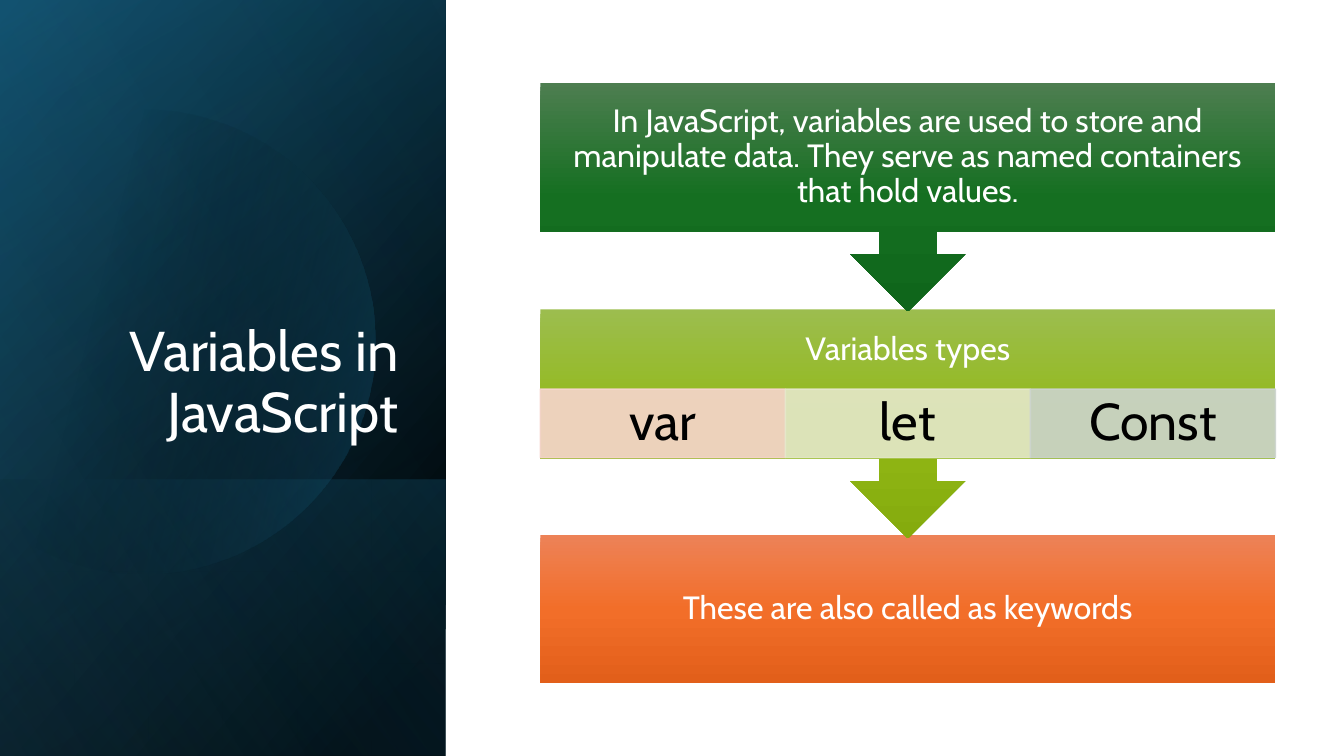
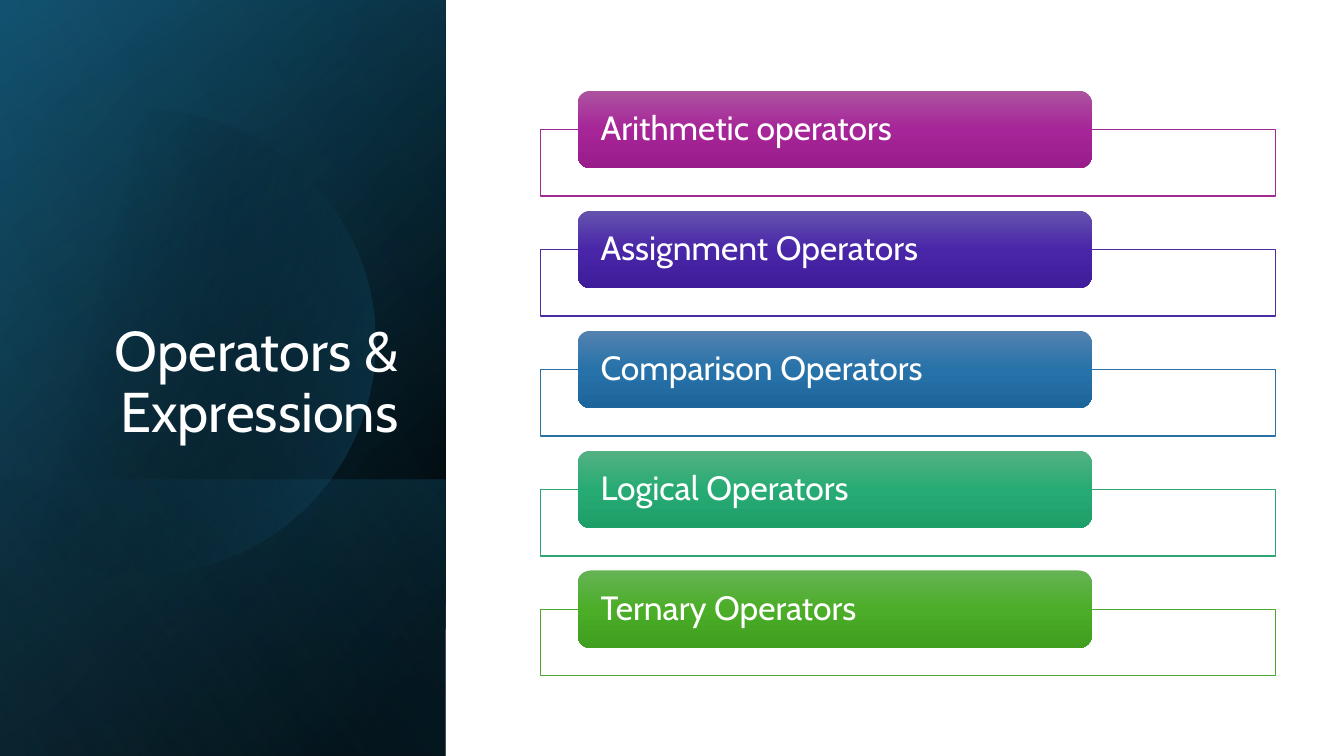
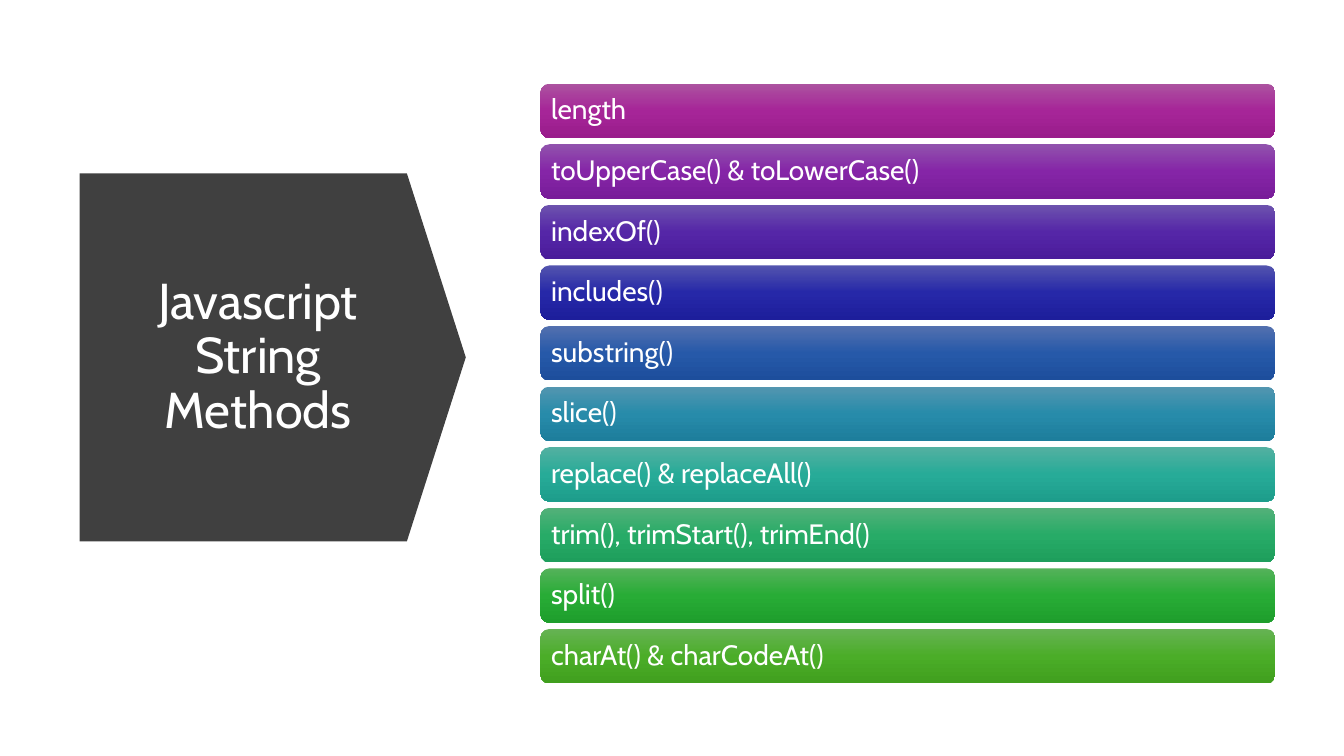
from math import acos, cos, sin

from lxml.etree import SubElement
from pptx import Presentation
from pptx.dml.color import RGBColor
from pptx.enum.shapes import MSO_SHAPE as Preset
from pptx.enum.text import MSO_ANCHOR as Anchor, PP_ALIGN as Align
from pptx.oxml.ns import qn
from pptx.util import Inches, Pt

FONT = "Cabin"
COLORS = {
    "white": "FFFFFF", "black": "000000", "navy": "104862",
    "teal": "156082", "sky": "46B1E1", "charcoal": "404040",
    "peach": "F7D5CE", "pale lime": "E5E8CA", "pale green": "CCD4CD",
    "magenta line": "A02B93", "indigo line": "4B2CA2",
    "blue line": "2C71A4", "jade line": "2DA573", "leaf line": "4EA72E",
}
GRADIENTS = {
    "forest": ("4D7E50", "156F21", "0F661B"),
    "lime": ("9CBD4E", "92B916", "85AB0D"),
    "orange": ("ED8257", "F26E29", "E25F1A"),
    "magenta": ("AC53A0", "A62598", "991C8B"),
    "purple": ("9153AD", "8525A7", "781C99"),
    "violet": ("6D53AE", "5526A7", "4A1C9A"),
    "indigo": ("6553AE", "4926A8", "3E1C9A"),
    "navy": ("5354AE", "2628A8", "1D1E9B"),
    "royal": ("5370AF", "2659A9", "1D4E9C"),
    "blue": ("5382AF", "2772A9", "1D669C"),
    "cyan": ("5396B0", "278BAA", "1D7E9C"),
    "turquoise": ("53B0A1", "27AB98", "1D9D8B"),
    "jade": ("54B183", "27AB74", "1E9E68"),
    "emerald": ("54B17A", "27AB67", "1E9E5C"),
    "green": ("54B25A", "28AC36", "1E9E2C"),
    "leaf": ("66B354", "4BAD28", "409F1E"),
}

PANEL_WIDTH, PAGE_HEIGHT = 4.42, 7.5
CONTENT_LEFT, CONTENT_WIDTH = 5.36, 7.29
CIRCLE_X, CIRCLE_Y, CIRCLE_RADIUS = 1.42, 3.39, 2.3
BASE_LAYERS = [
    (0, [(8, "black", 100), (100, "navy", 100)], 220),
    (0, [(0, "black", 0), (99, "teal", 46)], 240),
    (4.76, [(2, "teal", 29), (100, "black", 30)], 140),
]
CIRCLE_STOPS = [(29, "black", 0), (100, "teal", 43)]
GLOW_LAYER = (0, [(0, "black", 0), (99, "sky", 11)], 150)

VARIABLES_TITLE = "Variables in JavaScript"
VARIABLES_INTRO = ("In JavaScript, variables are used to store and manipulate data. "
                   "They serve as named containers that hold values.")
VARIABLES_TYPES = "Variables types"
VARIABLES_NOTE = "These are also called as keywords"
KEYWORDS = [("var", "peach"), ("let", "pale lime"), ("Const", "pale green")]

OPERATORS_TITLE = "Operators & Expressions"
OPERATORS = [
    ("Arithmetic operators", "magenta"),
    ("Assignment Operators", "indigo"),
    ("Comparison Operators", "blue"),
    ("Logical Operators", "jade"),
    ("Ternary Operators", "leaf"),
]

METHODS_TITLE = "Javascript String Methods"
METHODS = [
    ("length", "magenta"),
    ("toUpperCase() & toLowerCase()", "purple"),
    ("indexOf()", "violet"),
    ("includes()", "navy"),
    ("substring()", "royal"),
    ("slice()", "cyan"),
    ("replace() & replaceAll()", "turquoise"),
    ("trim(), trimStart(), trimEnd()", "emerald"),
    ("split()", "green"),
    ("charAt() & charCodeAt()", "leaf"),
]


def rgb(name):
    return RGBColor.from_string(COLORS[name])


def set_alpha(color_element, percent):
    SubElement(color_element, qn("a:alpha")).set("val", str(percent * 1000))


def fill_solid(shape, color, alpha=100):
    shape.fill.solid()
    shape.fill.fore_color.rgb = rgb(color)
    if alpha < 100:
        set_alpha(shape.fill._xPr.find(".//" + qn("a:srgbClr")), alpha)


def fill_gradient(shape, stops, angle):
    shape.fill.gradient()
    gradient = shape._element.spPr.find(qn("a:gradFill"))
    stop_list = gradient.find(qn("a:gsLst"))
    for old_stop in list(stop_list):
        stop_list.remove(old_stop)
    for position, color, alpha in stops:
        stop = SubElement(stop_list, qn("a:gs"))
        stop.set("pos", str(position * 1000))
        color_element = SubElement(stop, qn("a:srgbClr"))
        color_element.set("val", color)
        if alpha < 100:
            set_alpha(color_element, alpha)
    gradient.find(qn("a:lin")).set("ang", str(angle * 60000))


def fill_layer(shape, stops, angle):
    fill_gradient(shape, [(at, COLORS[name], alpha) for at, name, alpha in stops], angle)


def plain(shape):
    shape.shadow.inherit = False
    shape.line.fill.background()
    return shape


def add_box(page, preset, left, top, width, height):
    return plain(page.shapes.add_shape(
        preset, Inches(left), Inches(top), Inches(width), Inches(height)))


def add_glossy(page, preset, left, top, width, height, gradient):
    box = add_box(page, preset, left, top, width, height)
    fill_gradient(box, [(at, color, 100) for at, color
                        in zip((0, 50, 100), GRADIENTS[gradient])], 90)
    return box


def write(box, text, size, align, insets, color="white", anchor=Anchor.MIDDLE):
    frame = box.text_frame
    frame.word_wrap = True
    frame.vertical_anchor = anchor
    (frame.margin_left, frame.margin_top,
     frame.margin_right, frame.margin_bottom) = map(Inches, insets)
    para = frame.paragraphs[0]
    para.alignment = align
    para.line_spacing = 0.9
    span = para.add_run()
    span.text = text
    span.font.name = FONT
    span.font.size = Pt(size)
    span.font.color.rgb = rgb(color)


def place_title(page, text, area, size, align, anchor):
    title = page.shapes.title
    title.left, title.top, title.width, title.height = map(Inches, area)
    write(title, text, size, align, (0.1, 0.05, 0.1, 0.05), anchor=anchor)
    page.shapes._spTree.append(title._element)


def add_layer(page, top, stops, angle):
    layer = add_box(page, Preset.RECTANGLE, 0, top, PANEL_WIDTH, PAGE_HEIGHT - top)
    fill_layer(layer, stops, angle)


def add_panel(page, title):
    for layer in BASE_LAYERS:
        add_layer(page, *layer)

    sweep, steps = acos(-CIRCLE_X / CIRCLE_RADIUS), 120
    angles = [sweep * (2 * step / steps - 1) for step in range(steps + 1)]
    points = [(Inches(CIRCLE_X + CIRCLE_RADIUS * cos(angle)),
               Inches(CIRCLE_Y + CIRCLE_RADIUS * sin(angle))) for angle in angles]
    builder = page.shapes.build_freeform(*points[0])
    builder.add_line_segments(points[1:], close=True)
    fill_layer(plain(builder.convert_to_shape()), CIRCLE_STOPS, 14)

    add_layer(page, *GLOW_LAYER)
    place_title(page, title, (0.64, 1.84, 3.41, 2.62), 40, Align.RIGHT, Anchor.BOTTOM)


def build_variables(page):
    add_panel(page, VARIABLES_TITLE)
    inset, box_height, callout_height, heading_height = 0.18, 1.47, 2.27, 0.8
    intro_top, types_top, note_top = 0.82, 3.07, 5.31
    insets = (inset,) * 4

    note = add_glossy(page, Preset.RECTANGLE, CONTENT_LEFT, note_top,
                      CONTENT_WIDTH, box_height, "orange")
    write(note, VARIABLES_NOTE, 23, Align.CENTER, insets)

    types = add_glossy(page, Preset.DOWN_ARROW_CALLOUT, CONTENT_LEFT, types_top,
                       CONTENT_WIDTH, callout_height, "lime")
    write(types, VARIABLES_TYPES, 23, Align.CENTER,
          (inset, inset, inset, inset + box_height - heading_height))

    cell_width = CONTENT_WIDTH / len(KEYWORDS)
    for index, (keyword, color) in enumerate(KEYWORDS):
        cell = add_box(page, Preset.RECTANGLE, CONTENT_LEFT + index * cell_width,
                       3.86, cell_width, 0.68)
        fill_solid(cell, color, 90)
        cell.line.color.rgb = rgb(color)
        cell.line.width = Pt(1)
        set_alpha(cell.line._ln.find(".//" + qn("a:srgbClr")), 90)
        write(cell, keyword, 37, Align.CENTER, (0.29, 0.05, 0.29, 0.05), "black")

    intro = add_glossy(page, Preset.DOWN_ARROW_CALLOUT, CONTENT_LEFT, intro_top,
                       CONTENT_WIDTH, callout_height, "forest")
    write(intro, VARIABLES_INTRO, 23, Align.CENTER, insets)


def build_operators(page):
    add_panel(page, OPERATORS_TITLE)
    first_top, pitch = 0.9, 1.19
    for index, (operator, color) in enumerate(OPERATORS):
        top = first_top + index * pitch
        frame = add_box(page, Preset.RECTANGLE, CONTENT_LEFT, top + 0.385,
                        CONTENT_WIDTH, 0.66)
        fill_solid(frame, "white", 90)
        frame.line.color.rgb = rgb(color + " line")
        frame.line.width = Pt(1)
        label = add_glossy(page, Preset.ROUNDED_RECTANGLE, 5.73, top, 5.1, 0.77, color)
        write(label, operator, 24, Align.LEFT, (0.19, 0, 0.19, 0))


def build_methods(page):
    arrow = add_box(page, Preset.PENTAGON, 0.79, 1.72, 3.83, 3.65)
    arrow.adjustments[0] = 0.16
    fill_solid(arrow, "charcoal")
    place_title(page, METHODS_TITLE, (1.12, 2.15, 2.88, 2.79), 36,
                Align.CENTER, Anchor.MIDDLE)

    first_top, last_top = 0.83, 6.24
    pitch = (last_top - first_top) / (len(METHODS) - 1)
    for index, (method, color) in enumerate(METHODS):
        row = add_glossy(page, Preset.ROUNDED_RECTANGLE, CONTENT_LEFT,
                         first_top + index * pitch, CONTENT_WIDTH, 0.54, color)
        write(row, method, 20, Align.LEFT, (0.08,) * 4)


def main():
    deck = Presentation()
    deck.slide_width, deck.slide_height = Inches(13.33), Inches(PAGE_HEIGHT)
    title_only = deck.slide_layouts[5]
    for build in (build_variables, build_operators, build_methods):
        build(deck.slides.add_slide(title_only))
    deck.save("out.pptx")


if __name__ == "__main__":
    main()
